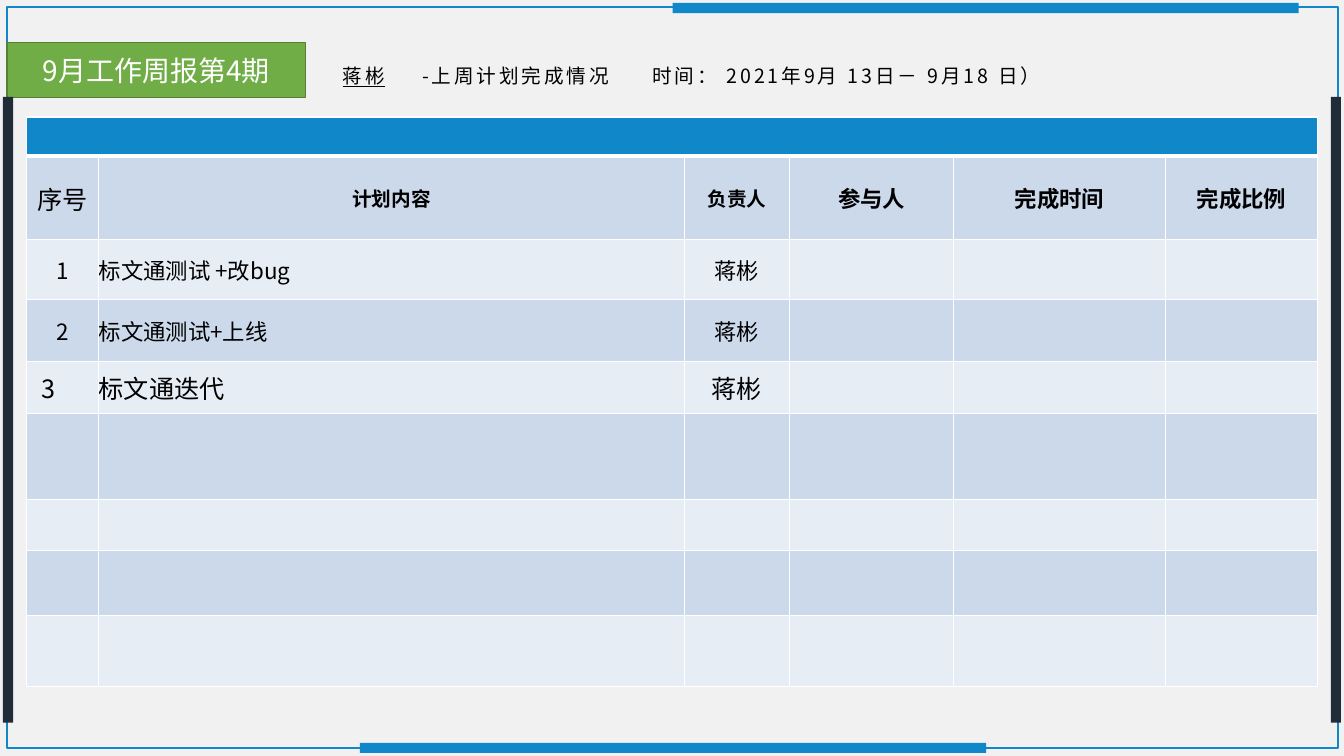
"""Weekly report slide: last week's plan and how far it was completed."""
from dataclasses import dataclass

from lxml import etree
from pptx import Presentation
from pptx import util as u
from pptx.dml.color import RGBColor
from pptx.enum import shapes, text
from pptx.oxml.ns import qn


@dataclass(frozen=True)
class Theme:
    """Colours, typeface and type sizes of the slide."""
    paper: str = "F1F1F2"
    blue: str = "0F87C9"
    navy: str = "202C38"
    green: str = "70AD47"
    green_edge: str = "538035"
    band_dark: str = "CCD9EB"
    band_light: str = "E7EDF5"
    ink: str = "000000"
    white: str = "FFFFFF"
    font: str = "Noto Sans CJK SC"
    issue: int = 20
    large: int = 18
    body: int = 16
    small: int = 14
    line_end: int = 24


THEME = Theme()
WIDTH, HEIGHT = 13.33, 7.5
BAR_LENGTH, BAR_WIDTH = 6.21, 0.1
COLUMNS = [0.72, 5.81, 1.04, 1.63, 2.1, 1.51]
ROWS = [0.39, 0.83, 0.59, 0.62, 0.51, 0.86, 0.5, 0.65, 0.7]
HEADINGS = [("序号", THEME.large, False), ("计划内容", THEME.small, True),
            ("负责人", THEME.small, True), ("参与人", THEME.body, True),
            ("完成时间", THEME.body, True), ("完成比例", THEME.body, True)]
TASKS = [("1", "标文通测试 +改bug", "蒋彬", THEME.body),
         ("2", "标文通测试+上线", "蒋彬", THEME.body),
         ("3", "标文通迭代", "蒋彬", THEME.large)]
LEFT, CENTER = text.PP_ALIGN.LEFT, text.PP_ALIGN.CENTER


def inches(box):
    """Turn a box in inches into lengths."""
    return [u.Inches(side) for side in box]


def style_run(run, size, color=THEME.ink, bold=False):
    """Give a run the slide's typeface, for Latin and Chinese alike."""
    run.font.name = THEME.font
    run.font.size = u.Pt(size)
    run.font.bold = bold
    run.font.color.rgb = RGBColor.from_string(color)
    east_asian = etree.SubElement(run._r.get_or_add_rPr(), qn("a:ea"))
    east_asian.set("typeface", THEME.font)


def add_block(slide, box, fill=None, edge=None, kind=shapes.MSO_SHAPE.RECTANGLE):
    """Draw a flat block with an optional fill and edge."""
    block = slide.shapes.add_shape(kind, *inches(box))
    block.shadow.inherit = False
    if fill:
        block.fill.solid()
        block.fill.fore_color.rgb = RGBColor.from_string(fill)
    else:
        block.fill.background()
    if edge:
        block.line.color.rgb = RGBColor.from_string(edge)
        block.line.width = u.Pt(1)
    else:
        block.line.fill.background()
    return block


def add_frame(slide, box):
    """Draw the thin outline that runs round the slide."""
    outline = add_block(slide, box, edge=THEME.blue,
                        kind=shapes.MSO_SHAPE.ROUNDED_RECTANGLE)
    outline.adjustments[0] = 0


def add_bars(slide):
    """Lay the accent bars over the four edges of the frame."""
    side_top = 0.96
    for left, top in [(3.57, 7.37), (6.67, 0.03)]:
        add_block(slide, (left, top, BAR_LENGTH, BAR_WIDTH), THEME.blue)
    for left in (0.03, WIDTH - BAR_WIDTH - 0.03):
        add_block(slide, (left, side_top, BAR_WIDTH, BAR_LENGTH), THEME.navy)


def add_issue_label(slide, box):
    """Place the green label with the issue of the report."""
    label = add_block(slide, box, THEME.green, THEME.green_edge)
    frame = label.text_frame
    frame.margin_left = frame.margin_right = 0
    frame.margin_top = frame.margin_bottom = 0
    frame.vertical_anchor = text.MSO_ANCHOR.MIDDLE
    frame.text = "9月工作周报第4期"
    frame.paragraphs[0].alignment = CENTER
    style_run(frame.paragraphs[0].runs[0], THEME.issue, THEME.white)


def add_headline(slide, box):
    """Place the line with the reporter's name, the subject and the dates."""
    frame = slide.shapes.add_textbox(*inches(box)).text_frame
    frame.word_wrap = True
    frame.vertical_anchor = text.MSO_ANCHOR.MIDDLE
    headline = frame.paragraphs[0]
    stops = etree.SubElement(headline._p.get_or_add_pPr(), qn("a:tabLst"))
    for position in (0.27, 1.06, 3.34):
        etree.SubElement(stops, qn("a:tab"), pos=str(u.Inches(position)), algn="l")
    parts = [("\t蒋彬\t", THEME.small, True),
             ("-上周计划完成情况\t时间： 2021年9月 13日－ 9月18 日）", THEME.small, False),
             (" ", THEME.line_end, False)]
    for wording, size, underlined in parts:
        run = headline.add_run()
        run.text = wording
        style_run(run, size)
        run.font.underline = underlined
        run._r.get_or_add_rPr().set("spc", "200")


def set_borders(cell, top=1, bottom=1):
    """Rule a cell in white, with widths in points."""
    properties = cell._tc.get_or_add_tcPr()
    widths = {"a:lnL": 1, "a:lnR": 1, "a:lnT": top, "a:lnB": bottom}
    for place, (tag, width) in enumerate(widths.items()):
        rule = etree.Element(qn(tag), w=str(u.Pt(width)))
        paint = etree.SubElement(rule, qn("a:solidFill"))
        etree.SubElement(paint, qn("a:srgbClr"), val=THEME.white)
        properties.insert(place, rule)


def write_cell(cell, wording, size, align=CENTER, bold=False):
    """Write one line into a table cell."""
    cell.text = wording
    paragraph = cell.text_frame.paragraphs[0]
    paragraph.alignment = align
    style_run(paragraph.runs[0], size, bold=bold)


def add_plan_table(slide, box):
    """Build the plan table: blue band, headings, tasks and open rows."""
    plan = slide.shapes.add_table(len(ROWS), len(COLUMNS), *inches(box)).table
    plan.first_row = plan.horz_banding = False
    for column, width in zip(plan.columns, COLUMNS):
        column.width = u.Inches(width)
    for index, (row, height) in enumerate(zip(plan.rows, ROWS)):
        row.height = u.Inches(height)
        band = THEME.band_dark if index % 2 else THEME.band_light
        for cell in row.cells:
            cell.margin_left = cell.margin_right = 0
            cell.margin_top = cell.margin_bottom = 0
            cell.vertical_anchor = text.MSO_ANCHOR.MIDDLE
            cell.fill.solid()
            cell.fill.fore_color.rgb = RGBColor.from_string(band if index else THEME.blue)
            set_borders(cell, 3 if index == 1 else 1, 3 if index == 0 else 1)
    plan.cell(0, 0).merge(plan.cell(0, len(COLUMNS) - 1))
    for index, (heading, size, bold) in enumerate(HEADINGS):
        write_cell(plan.cell(1, index), heading, size, bold=bold)
    for index, (number, task, owner, size) in enumerate(TASKS, start=2):
        write_cell(plan.cell(index, 0), number, size)
        write_cell(plan.cell(index, 1), task, size, LEFT)
        write_cell(plan.cell(index, 2), owner, size)
    last_number = plan.cell(len(TASKS) + 1, 0)
    last_number.margin_left = u.Inches(0.15)
    last_number.text_frame.paragraphs[0].alignment = LEFT


def main():
    """Compose the slide and save it."""
    deck = Presentation()
    deck.slide_width, deck.slide_height = inches((WIDTH, HEIGHT))
    slide = deck.slides.add_slide(deck.slide_layouts[6])
    slide.background.fill.solid()
    slide.background.fill.fore_color.rgb = RGBColor.from_string(THEME.paper)
    add_frame(slide, (0.07, 0.07, 13.2, 7.35))
    add_issue_label(slide, (0.07, 0.42, 2.96, 0.55))
    add_headline(slide, (3.03, 0.42, 9.2, 0.55))
    add_bars(slide)
    add_plan_table(slide, (0.26, 1.16, sum(COLUMNS), sum(ROWS)))
    deck.save("out.pptx")


if __name__ == "__main__":
    main()
